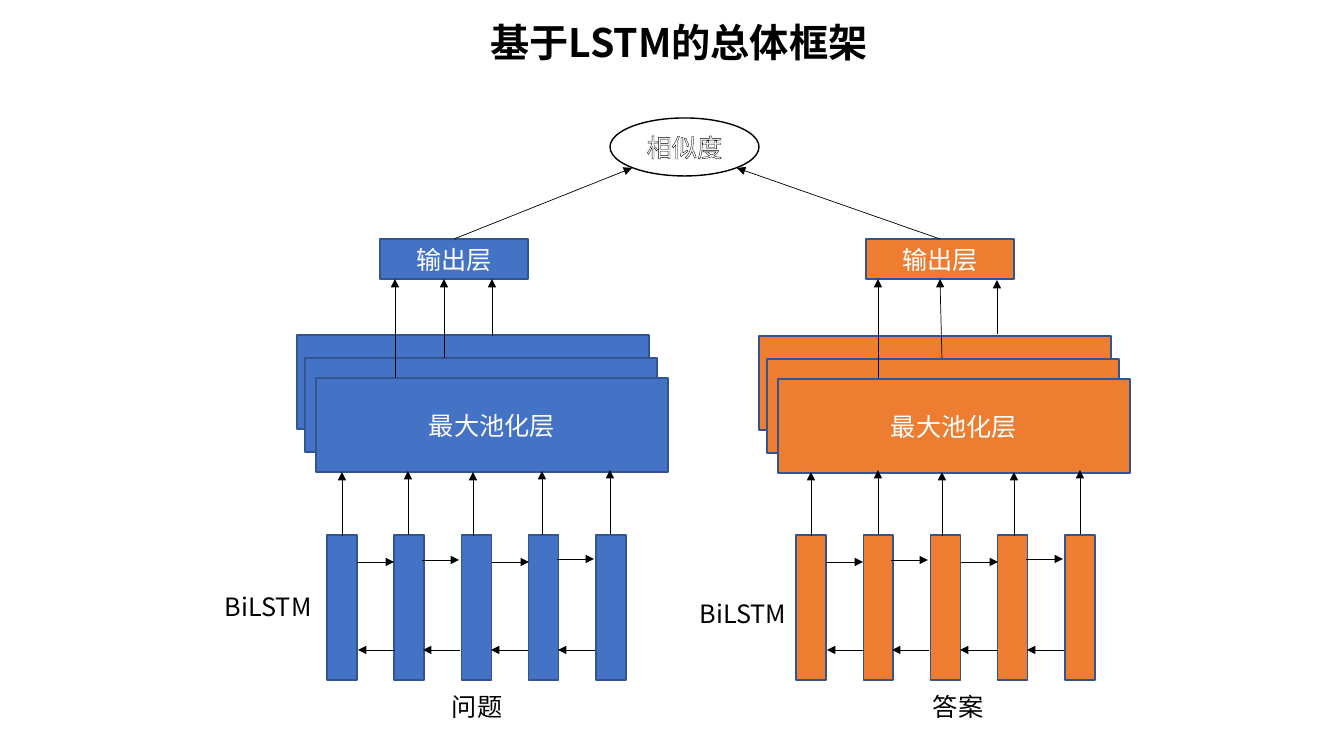
import pptx
import pptx.dml.color
import pptx.enum.shapes
import pptx.enum.text
import pptx.oxml
import pptx.oxml.ns
import pptx.util

COLORS = {"question": "4472C4", "answer": "ED7D31", "edge": "325491",
          "black": "000000", "white": "FFFFFF"}
FONT = "Noto Sans CJK SC"
PIXEL = 914400 / 100.8

TITLE = ("基于LSTM的总体框架", (191, 13, 976, 57))
SIMILARITY = ("相似度", (610, 118, 149, 58))
OUTPUT_TEXT, POOLING_TEXT, CELL_TEXT = "输出层", "最大池化层", "BiLSTM"

BRANCHES = [
    {"color": "question", "name": "问题", "name_at": (442, 686), "cell_text_at": (215, 586),
     "first_cell": 327, "pooling": (297, 335), "output": (380, 239),
     "cell_arrows": [(342, 472), (408, 471), (473, 472), (542, 471), (610, 470)],
     "pooling_arrows": [(395, 378, 395, 279), (444, 358, 444, 279), (492, 336, 492, 279)],
     "similarity_arrow": (454, 239, 632, 168)},
    {"color": "answer", "name": "答案", "name_at": (923, 686), "cell_text_at": (690, 593),
     "first_cell": 796, "pooling": (759, 336), "output": (866, 239),
     "cell_arrows": [(811, 472), (878, 470), (942, 472), (1014, 472), (1080, 470)],
     "pooling_arrows": [(878, 378, 878, 279), (942, 358, 940, 279), (997, 334, 997, 280)],
     "similarity_arrow": (940, 239, 737, 168)},
]

CELL_COUNT, CELL_STEP, CELL_TOP, CELL_SIZE = 5, 67.25, 535, (30, 145)
POOLING_SIZE, POOLING_SHIFTS = (352, 94), [(0, 0), (8, 23), (19, 43)]
OUTPUT_SIZE, LABEL_SIZE = (148, 40), (111, 40)
FORWARD_ARROWS = [(30, 562), (95, 560), (165, 562), (230, 559)]
BACKWARD_ARROWS = [(268, 650), (201, 650), (133, 650), (68, 650)]
SIDE_LENGTH, UP_LENGTH = 37, 64

SHAPES = pptx.enum.shapes.MSO_SHAPE
ALIGN = pptx.enum.text.PP_ALIGN
FRAME_FORMAT = {"word_wrap": True,
                "auto_size": pptx.enum.text.MSO_AUTO_SIZE.NONE,
                "vertical_anchor": pptx.enum.text.MSO_ANCHOR.MIDDLE}


def emu(*pixels):
    return [round(pixel * PIXEL) for pixel in pixels]


def rgb(color):
    return pptx.dml.color.RGBColor.from_string(COLORS[color])


def apply_format(target, values):
    for name, value in values.items():
        setattr(target, name, value)


def write(shape, text, color="black", size=18, bold=False, alignment=ALIGN.CENTER):
    apply_format(shape.text_frame, FRAME_FORMAT)
    paragraph = shape.text_frame.paragraphs[0]
    paragraph.alignment = alignment
    run = paragraph.add_run()
    run.text = text
    apply_format(run.font, {"name": FONT, "size": pptx.util.Pt(size), "bold": bold})
    run.font.color.rgb = rgb(color)
    properties = run.font._element
    east_asian = pptx.oxml.parse_xml(
        f'<a:ea {pptx.oxml.ns.nsdecls("a")} typeface="{FONT}"/>')
    properties.find(pptx.oxml.ns.qn("a:latin")).addnext(east_asian)
    return properties


def add_block(box, fill, edge="edge", kind=SHAPES.RECTANGLE):
    shape = slide.shapes.add_shape(kind, *emu(*box))
    shape.shadow.inherit = False
    shape.fill.solid()
    shape.fill.fore_color.rgb = rgb(fill)
    shape.line.color.rgb = rgb(edge)
    shape.line.width = pptx.util.Pt(1)
    return shape


def add_label(position, text):
    label = slide.shapes.add_textbox(*emu(*position, *LABEL_SIZE))
    write(label, text, alignment=ALIGN.LEFT)


def add_arrow(*ends):
    arrow = slide.shapes.add_connector(
        pptx.enum.shapes.MSO_CONNECTOR.STRAIGHT, *emu(*ends))
    arrow.line.color.rgb = rgb("black")
    arrow.line.width = pptx.util.Pt(0.5)
    namespace = pptx.oxml.ns.nsdecls("a")
    arrow.line._get_or_add_ln().append(
        pptx.oxml.parse_xml(f'<a:tailEnd {namespace} type="triangle"/>'))
    arrow._element.spPr.append(pptx.oxml.parse_xml(f'<a:effectLst {namespace}/>'))


def add_branch(branch):
    color, first_cell = branch["color"], branch["first_cell"]
    for index in range(CELL_COUNT):
        add_block((first_cell + index * CELL_STEP, CELL_TOP, *CELL_SIZE), color)
    left, top = branch["pooling"]
    for right_shift, down_shift in POOLING_SHIFTS:
        pooling = add_block((left + right_shift, top + down_shift, *POOLING_SIZE), color)
    write(pooling, POOLING_TEXT, "white")
    output = add_block((*branch["output"], *OUTPUT_SIZE), color)
    write(output, OUTPUT_TEXT, "white")

    for arrows, direction in ((FORWARD_ARROWS, 1), (BACKWARD_ARROWS, -1)):
        for offset, y in arrows:
            start = first_cell + offset
            add_arrow(start, y, start + direction * SIDE_LENGTH, y)
    for x, tip in branch["cell_arrows"]:
        add_arrow(x, tip + UP_LENGTH, x, tip)
    for ends in branch["pooling_arrows"] + [branch["similarity_arrow"]]:
        add_arrow(*ends)
    add_label(branch["cell_text_at"], CELL_TEXT)
    add_label(branch["name_at"], branch["name"])


presentation = pptx.Presentation()
presentation.slide_width, presentation.slide_height = emu(1344, 756)
slide = presentation.slides.add_slide(presentation.slide_layouts[5])

title = slide.shapes.title
apply_format(title, dict(zip(("left", "top", "width", "height"), emu(*TITLE[1]))))
write(title, TITLE[0], size=28, bold=True)

similarity = add_block(SIMILARITY[1], "white", "black", SHAPES.OVAL)
similarity_properties = write(similarity, SIMILARITY[0], "white")
similarity_properties.insert(0, pptx.oxml.parse_xml(
    f'<a:ln {pptx.oxml.ns.nsdecls("a")} w="{pptx.util.Pt(0.75)}"><a:solidFill>'
    f'<a:srgbClr val="{COLORS["black"]}"/></a:solidFill></a:ln>'))

for branch in BRANCHES:
    add_branch(branch)

presentation.save("out.pptx")
